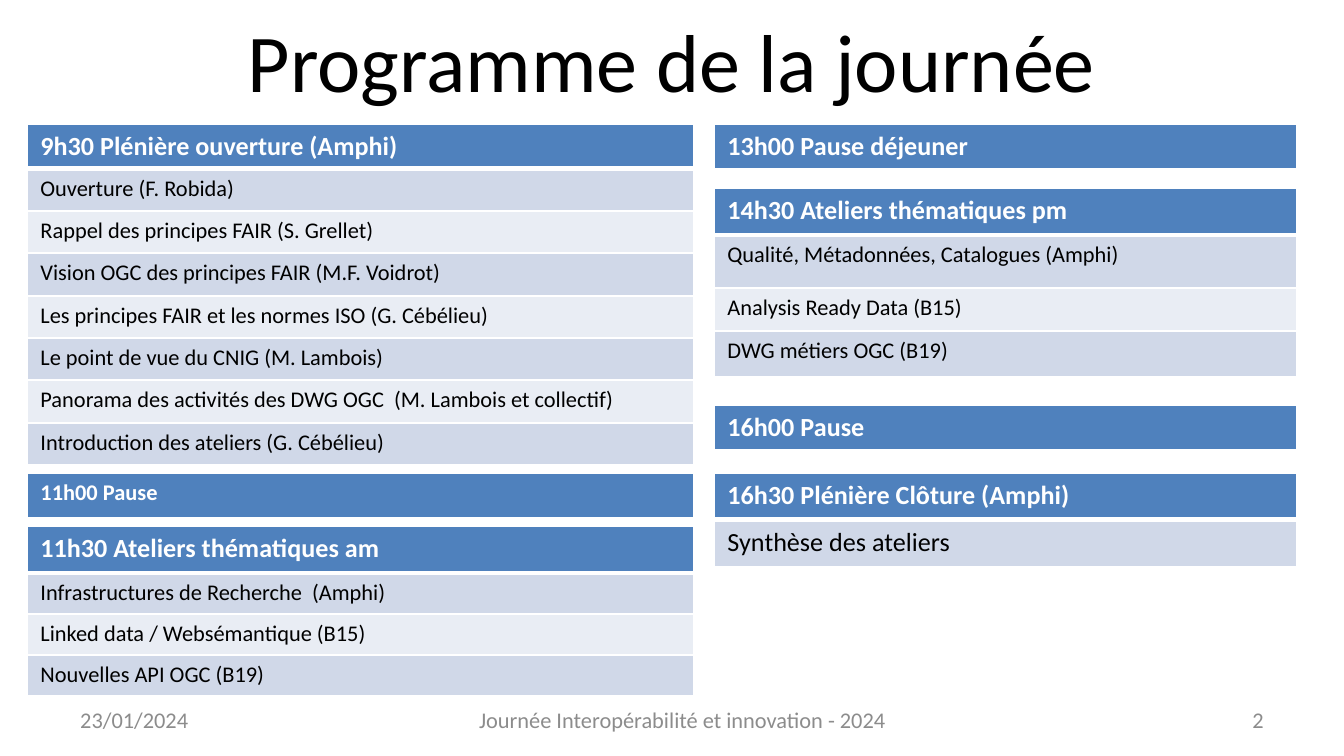
import pptx
import pptx.dml.color
import pptx.enum.text
import pptx.oxml.ns
import pptx.util
from lxml import etree

EMU_PER_INCH = 914400
PX_PER_INCH = 134.4
SLIDE_SIZE = (1344, 756)
FONT = "Calibri"
COLORS = {
    "header": "4F81BD",
    "odd": "D0D8E8",
    "even": "E9EDF4",
    "white": "FFFFFF",
    "black": "000000",
    "footer": "8C8C8C",
}
ALIGN = pptx.enum.text.PP_ALIGN

# text, alignment, size in points, colour, (left, top, width, height)
TEXTS = [
    ("Programme de la journée", ALIGN.CENTER, 44, "black", (67, -3, 1210, 126)),
    ("23/01/2024", ALIGN.LEFT, 12, "footer", (67, 700, 313, 40)),
    ("Journée Interopérabilité et innovation - 2024", ALIGN.CENTER, 12, "footer",
     (439, 700, 487, 40)),
    ("2", ALIGN.RIGHT, 12, "footer", (964, 700, 313, 40)),
]

# left, width, sessions of each column
# session: top, header size, item size, rows of (text, height), header first
COLUMNS = [
    (27, 667, [
        (124, 14, 12, [
            ("9h30 Plénière ouverture (Amphi)", 45),
            ("Ouverture (F. Robida)", 42),
            ("Rappel des principes FAIR (S. Grellet)", 42),
            ("Vision OGC des principes FAIR (M.F. Voidrot)", 43),
            ("Les principes FAIR et les normes ISO (G. Cébélieu)", 42),
            ("Le point de vue du CNIG (M. Lambois)", 42),
            ("Panorama des activités des DWG OGC  (M. Lambois et collectif)", 43),
            ("Introduction des ateliers (G. Cébélieu)", 42),
        ]),
        (473, 12, 12, [("11h00 Pause", 47)]),
        (526, 14, 12, [
            ("11h30 Ateliers thématiques am", 47),
            ("Infrastructures de Recherche  (Amphi)", 41),
            ("Linked data / Websémantique (B15)", 41),
            ("Nouvelles API OGC (B19)", 41),
        ]),
    ]),
    (714, 583, [
        (124, 14, 12, [("13h00 Pause déjeuner", 47)]),
        (188, 14, 12, [
            ("14h30 Ateliers thématiques pm", 47),
            ("Qualité, Métadonnées, Catalogues (Amphi)", 53),
            ("Analysis Ready Data (B15)", 43),
            ("DWG métiers OGC (B19)", 46),
        ]),
        (405, 14, 12, [("16h00 Pause", 47)]),
        (473, 14, 14, [
            ("16h30 Plénière Clôture (Amphi)", 47),
            ("Synthèse des ateliers", 47),
        ]),
    ]),
]


def px(length):
    return pptx.util.Emu(round(length * EMU_PER_INCH / PX_PER_INCH))


def rgb(name):
    return pptx.dml.color.RGBColor.from_string(COLORS[name])


def add_run(paragraph, text, size, color, bold=False):
    run = paragraph.add_run()
    run.text = text
    run.font.name = FONT
    run.font.size = pptx.util.Pt(size)
    run.font.bold = bold
    run.font.color.rgb = rgb(color)


def add_text(slide, text, alignment, size, color, box):
    frame = slide.shapes.add_textbox(*map(px, box)).text_frame
    frame.word_wrap = True
    frame.vertical_anchor = pptx.enum.text.MSO_ANCHOR.MIDDLE
    paragraph = frame.paragraphs[0]
    paragraph.alignment = alignment
    add_run(paragraph, text, size, color)


def set_borders(cell, top, bottom):
    """Give the cell white borders; top and bottom are widths in points."""
    qn = pptx.oxml.ns.qn
    properties = cell._tc.get_or_add_tcPr()
    for side, width in (("L", 1), ("R", 1), ("T", top), ("B", bottom)):
        line = etree.SubElement(properties, qn(f"a:ln{side}"), w=str(pptx.util.Pt(width)))
        fill = etree.SubElement(line, qn("a:solidFill"))
        etree.SubElement(fill, qn("a:srgbClr"), val=COLORS["white"])


def add_session(slide, left, width, top, header_size, item_size, rows):
    height = sum(row_height for _, row_height in rows)
    table = slide.shapes.add_table(
        len(rows), 1, px(left), px(top), px(width), px(height)).table
    for index, (text, row_height) in enumerate(rows):
        is_header = index == 0
        table.rows[index].height = px(row_height)
        cell = table.cell(index, 0)
        set_borders(cell, 3 if index == 1 else 1, 3 if is_header else 1)
        cell.fill.solid()
        fill = "header" if is_header else "odd" if index % 2 else "even"
        cell.fill.fore_color.rgb = rgb(fill)
        add_run(cell.text_frame.paragraphs[0], text,
                header_size if is_header else item_size,
                "white" if is_header else "black", is_header)


def main():
    presentation = pptx.Presentation()
    presentation.slide_width, presentation.slide_height = map(px, SLIDE_SIZE)
    slide = presentation.slides.add_slide(presentation.slide_layouts[6])
    for text in TEXTS:
        add_text(slide, *text)
    for left, width, sessions in COLUMNS:
        for session in sessions:
            add_session(slide, left, width, *session)
    presentation.save("out.pptx")


if __name__ == "__main__":
    main()
